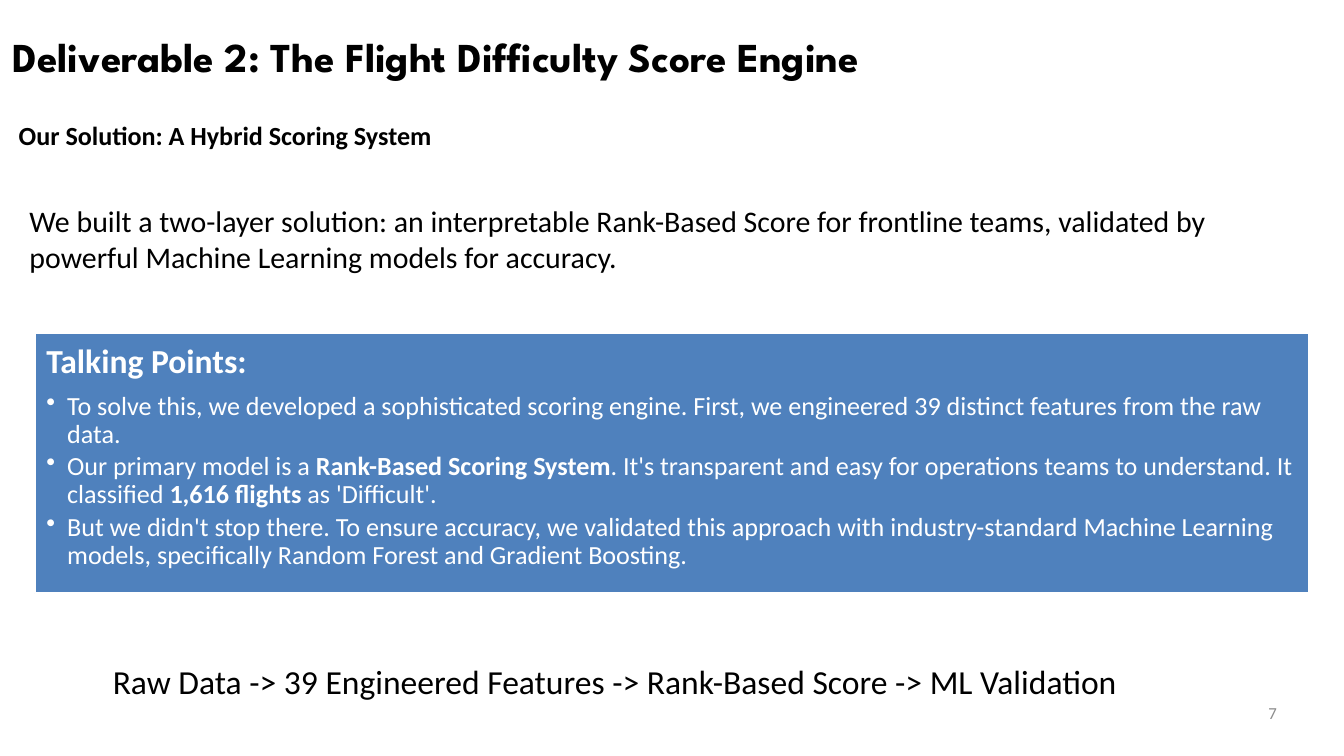
from pptx import Presentation
from pptx.dml.color import RGBColor
from pptx.enum.shapes import MSO_SHAPE
from pptx.enum.text import MSO_ANCHOR, PP_ALIGN
from pptx.util import Inches, Pt
from lxml.etree import SubElement
from pptx.oxml.ns import qn

# Content: a run is (text, bold)
TITLE = "Deliverable 2: The Flight Difficulty Score Engine"
SUBTITLE = "Our Solution: A Hybrid Scoring System"
SUMMARY = ("We built a two-layer solution: an interpretable Rank-Based Score for frontline teams, "
           "validated by powerful Machine Learning models for accuracy.")
PIPELINE = ["Raw Data", "39 Engineered Features", "Rank-Based Score", "ML Validation"]
PANEL_HEADING = "Talking Points:"
TALKING_POINTS = [
    [("To solve this, we developed a sophisticated scoring engine. First, we engineered "
      "39 distinct features from the raw data.", False)],
    [("Our primary model is a ", False), ("Rank-Based Scoring System", True),
     (". It's transparent and easy for operations teams to understand. It classified ", False),
     ("1,616 flights", True), (" as 'Difficult'.", False)],
    [("But we didn't stop there. To ensure accuracy, we validated this approach with "
      "industry-standard Machine Learning models, specifically Random Forest and "
      "Gradient Boosting.", False)],
]
PAGE_NUMBER = "7"

COLORS = {"ink": "000000", "panel": "4F81BD", "paper": "FFFFFF", "muted": "8C8C8C"}
WIDTH, HEIGHT = 20, 11.25
EDGE = 0.18
PANEL_LEFT = 0.52
PANEL_WIDTH = WIDTH - 2 * PANEL_LEFT
PANEL_INSET = 0.17
BULLET_INDENT = 0.31


def color(name):
    return RGBColor.from_string(COLORS[name])


def set_insets(frame, left, top, right, bottom):
    frame.margin_left, frame.margin_top = Inches(left), Inches(top)
    frame.margin_right, frame.margin_bottom = Inches(right), Inches(bottom)


def write(frame, text, size=28, ink="ink", font="Calibri", bold=False, align=PP_ALIGN.LEFT,
          line=None, after=0, bullet=False, first=True):
    """Write one paragraph; text is a string or a list of (text, bold) runs."""
    paragraph = frame.paragraphs[0] if first else frame.add_paragraph()
    if bullet:
        properties = paragraph._p.get_or_add_pPr()
        properties.set("marL", str(Inches(BULLET_INDENT)))
        properties.set("indent", str(-Inches(BULLET_INDENT)))
        SubElement(properties, qn("a:buChar"), char="•")
    paragraph.alignment = align
    paragraph.space_after = Pt(after)
    if line:
        paragraph.line_spacing = line
    for words, strong in [(text, bold)] if isinstance(text, str) else text:
        run = paragraph.add_run()
        run.text = words
        run.font.name, run.font.size, run.font.bold = font, Pt(size), strong
        run.font.color.rgb = color(ink)


def add_text(slide, box, text, insets=(0.1, 0.05, 0.1, 0.05), **style):
    frame = slide.shapes.add_textbox(*map(Inches, box)).text_frame
    frame.word_wrap = True
    set_insets(frame, *insets)
    write(frame, text, **style)


def add_panel(slide):
    panel = slide.shapes.add_shape(
        MSO_SHAPE.RECTANGLE, *map(Inches, (PANEL_LEFT, 4.96, PANEL_WIDTH, 3.87)))
    panel.shadow.inherit = False
    panel.fill.solid()
    panel.fill.fore_color.rgb = color("panel")
    panel.line.color.rgb = color("paper")
    panel.line.width = Pt(2)
    frame = panel.text_frame
    frame.word_wrap = True
    frame.vertical_anchor = MSO_ANCHOR.TOP
    set_insets(frame, *[PANEL_INSET] * 4)
    write(frame, PANEL_HEADING, size=36, ink="paper", bold=True, line=0.9, after=0.35 * 36)
    for point in TALKING_POINTS:
        write(frame, point, ink="paper", line=0.9, after=0.15 * 28, bullet=True, first=False)


def main():
    deck = Presentation()
    deck.slide_width, deck.slide_height = Inches(WIDTH), Inches(HEIGHT)
    slide = deck.slides.add_slide(deck.slide_layouts[6])

    # Heading and summary
    add_text(slide, (EDGE, 0.45, 18.45, 0.76), TITLE, insets=(0.01, 0.02, 0, 0),
             size=44, font="League Spartan", bold=True)
    add_text(slide, (EDGE, 1.73, 15.69, 0.57), SUBTITLE, bold=True)
    add_text(slide, (0.34, 2.97, 19.15, 1.18), SUMMARY, size=32)

    # Talking points
    add_panel(slide)

    # Pipeline and page number
    add_text(slide, (1.58, 9.79, 18.67, 0.71), " -> ".join(PIPELINE), size=36)
    add_text(slide, (0.72 * WIDTH, 10.46, 0.23 * WIDTH, 0.56), PAGE_NUMBER,
             insets=(0, 0, 0, 0), size=18, ink="muted", align=PP_ALIGN.RIGHT)

    deck.save("out.pptx")


if __name__ == "__main__":
    main()
